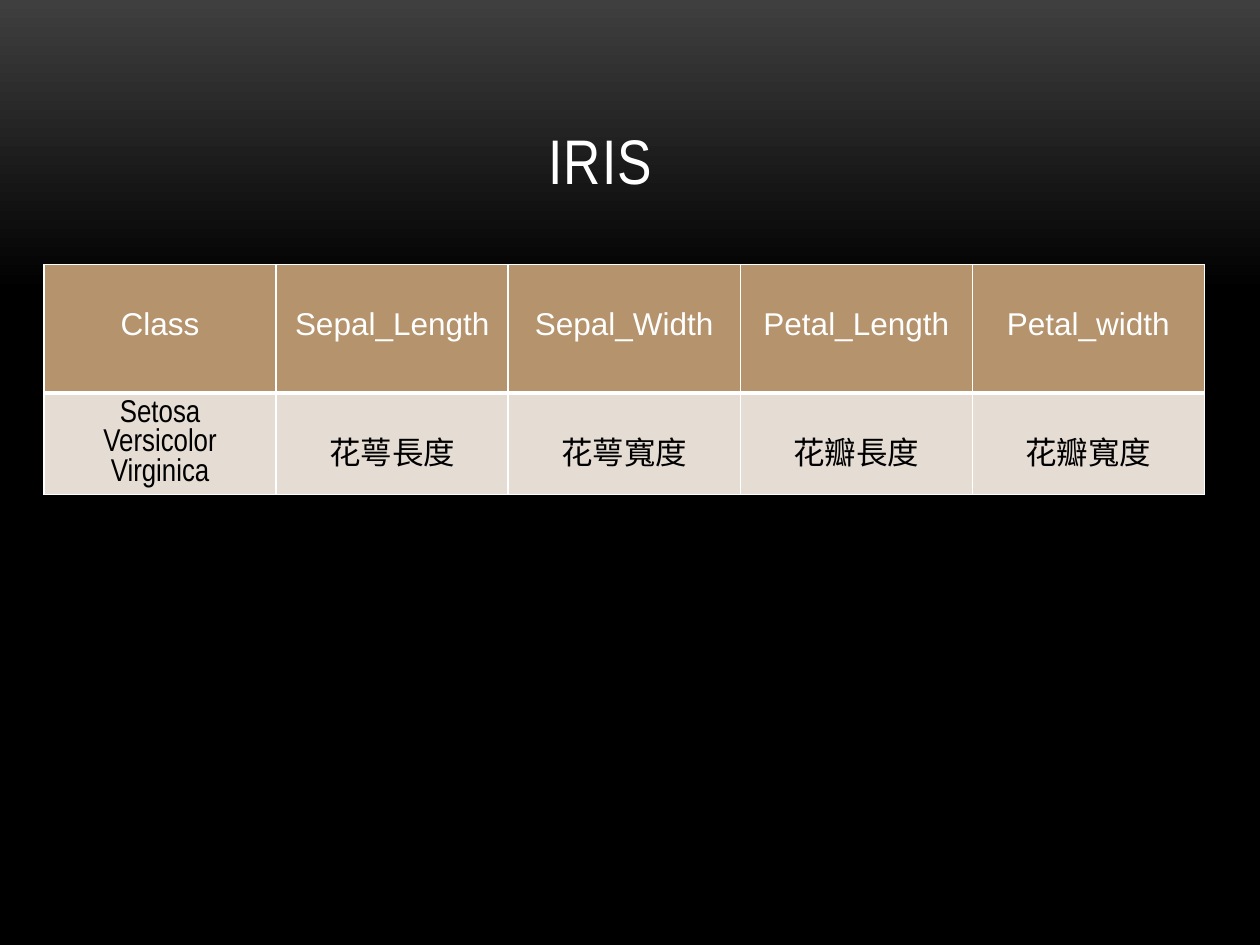
from copy import deepcopy

from pptx import Presentation
from pptx.dml.color import RGBColor
from pptx.enum.text import MSO_ANCHOR, PP_ALIGN
from pptx.oxml import parse_xml
from pptx.oxml.ns import nsdecls
from pptx.util import Inches, Pt

WIDTH, HEIGHT = Inches(10), Inches(7.5)
COLOURS = {"white": "FFFFFF", "black": "000000", "grey": "3F3F3F",
           "header": "B4936D", "body": "E5DCD4"}
HEADINGS = ["Class", "Sepal_Length", "Sepal_Width", "Petal_Length", "Petal_width"]
CLASSES = ["Setosa", "Versicolor", "Virginica"]
MEASURES = ["花萼長度", "花萼寬度", "花瓣長度", "花瓣寬度"]


def colour(name):
    """Return a named colour."""
    return RGBColor.from_string(COLOURS[name])


def paint_background(page):
    """Fade the page from grey at the top to black."""
    fill = page.background.fill
    fill.gradient()
    fill.gradient_angle = 270
    stops = page.background._cSld.xpath(".//a:gsLst")[0]
    stops.append(deepcopy(stops[-1]))
    for stop, position, name in zip(fill.gradient_stops, (0, 0.31, 1),
                                    ("grey", "black", "black")):
        stop.position = position
        stop.color.rgb = colour(name)


def add_span(para, text, size, font, name):
    """Add one centred, formatted run."""
    para.alignment = PP_ALIGN.CENTER
    span = para.add_run()
    span.text = text
    span.font.size = Pt(size)
    span.font.name = font
    span.font.bold = False
    span.font.color.rgb = colour(name)
    return span


def set_title(page, text):
    """Place and format the title."""
    box = page.shapes.title
    box.left, box.top = int(WIDTH * 0.043), int(HEIGHT * 0.048)
    box.width, box.height = int(WIDTH * 0.867), int(HEIGHT * 0.167)
    box.text_frame.vertical_anchor = MSO_ANCHOR.BOTTOM
    span = add_span(box.text_frame.paragraphs[0], text, 36, "Arial Narrow", "white")
    span.font._element.set("spc", "50")


def set_borders(cell, top, bottom):
    """Draw white borders, with the given top and bottom widths."""
    properties = cell._tc.get_or_add_tcPr()
    for index, (side, width) in enumerate(
            [("L", 1), ("R", 1), ("T", top), ("B", bottom)]):
        properties.insert(index, parse_xml(
            f'<a:ln{side} {nsdecls("a")} w="{Pt(width)}"><a:solidFill>'
            f'<a:srgbClr val="{COLOURS["white"]}"/></a:solidFill></a:ln{side}>'))


def fill_cell(cell, lines, font, text_colour, fill, top_margin):
    """Fill a cell and write one paragraph for each line."""
    cell.fill.solid()
    cell.fill.fore_color.rgb = colour(fill)
    cell.margin_top = Inches(top_margin)
    frame = cell.text_frame
    for index, line in enumerate(lines):
        para = frame.add_paragraph() if index else frame.paragraphs[0]
        add_span(para, line, 18, font, text_colour)


def add_iris_table(page):
    """Add the table of classes and measures."""
    columns = len(HEADINGS)
    table = page.shapes.add_table(
        2, columns, int(WIDTH * 0.035), int(HEIGHT * 0.28),
        int(WIDTH * 0.921), int(HEIGHT * 0.243)).table
    table.rows[0].height, table.rows[1].height = Inches(1.02), Inches(0.8)
    body = [CLASSES] + [[measure] for measure in MEASURES]
    for column in range(columns):
        head, cell = table.cell(0, column), table.cell(1, column)
        fill_cell(head, [HEADINGS[column]], "Arial", "white", "header", 0.34)
        fill_cell(cell, body[column], "Arial Narrow", "black", "body",
                  0.28 if column else 0.05)
        set_borders(head, 1, 3)
        set_borders(cell, 3, 1)


def main():
    """Build and save the deck."""
    deck = Presentation()
    deck.slide_width, deck.slide_height = WIDTH, HEIGHT
    page = deck.slides.add_slide(deck.slide_layouts[5])
    paint_background(page)
    set_title(page, "IRIS")
    add_iris_table(page)
    deck.save("out.pptx")


main()
